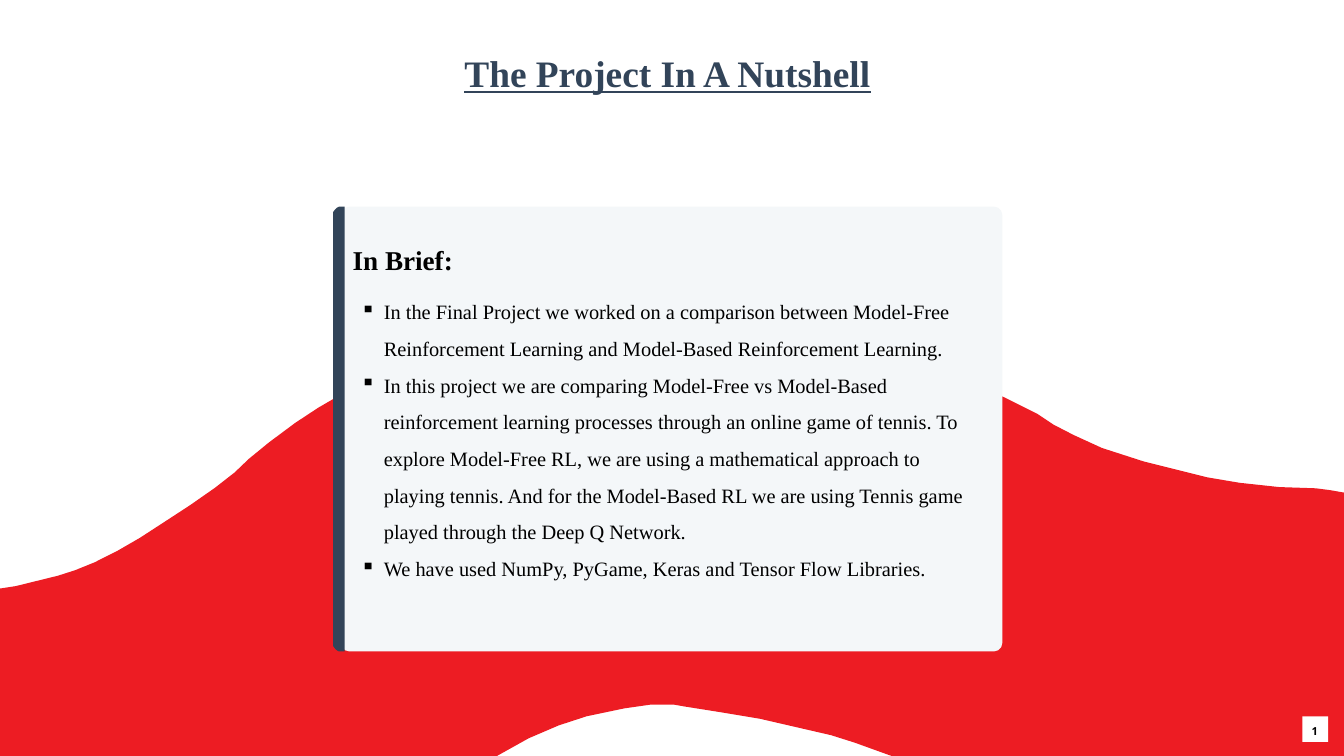
import pptx
import pptx.util
import pptx.dml.color
import pptx.enum.shapes
import pptx.enum.text
import lxml.etree
from collections import namedtuple
from dataclasses import dataclass

Inches = pptx.util.Inches
Box = namedtuple("Box", "left top width height")


@dataclass(frozen=True)
class Theme:
    """Colours, fonts and type sizes of the deck."""
    wave: str = "ED1C23"
    card: str = "F4F7F9"
    accent: str = "324459"
    paper: str = "FFFFFF"
    ink: str = "000000"
    serif: str = "Times New Roman"
    sans: str = "Noto Sans"
    title_size: int = 44
    heading_size: int = 32
    body_size: int = 24
    number_size: int = 13


THEME = Theme()

# Offsets from the top left corner of the wave's box
WAVE_CREST = [
    (0, 4.65), (0.26, 4.61), (0.95, 4.44), (1.23, 4.35), (1.55, 4.22),
    (1.91, 4.04), (2.29, 3.82), (2.66, 3.58), (3.12, 3.28), (3.52, 3.0),
    (3.84, 2.75), (4.07, 2.53), (4.4, 2.26), (4.83, 1.94), (5.21, 1.69),
    (5.83, 1.33), (6.48, 1.0), (6.97, 0.79), (7.52, 0.54), (8.1, 0.32),
    (8.79, 0.17), (9.5, 0.05), (10.25, 0), (11.08, 0), (11.86, 0.05),
    (12.56, 0.15), (13.28, 0.3), (14, 0.53), (14.69, 0.76), (15.25, 0.99),
    (15.87, 1.25), (16.53, 1.57), (16.97, 1.79), (17.24, 1.97),
    (17.57, 2.14), (18.03, 2.35), (18.71, 2.57), (19.75, 2.83),
    (20.28, 2.92), (20.93, 2.99), (21.53, 3.01), (21.76, 3.04), (21.99, 3.08),
]
WAVE_HOLLOW = [
    (14.59, 7.39), (13.98, 7.17), (13.6, 7.05), (12.43, 6.78), (11.83, 6.68),
    (11.2, 6.58), (11.03, 6.55), (10.64, 6.55), (10.22, 6.61), (9.6, 6.74),
    (9.14, 6.89), (8.65, 7.1), (8.13, 7.39),
]
BRIEF_POINTS = [
    "In the Final Project we worked on a comparison between Model-Free "
    "Reinforcement Learning and Model-Based Reinforcement Learning.",
    "In this project we are comparing Model-Free vs Model-Based reinforcement "
    "learning processes through an online game of tennis. To explore "
    "Model-Free RL, we are using a mathematical approach to playing tennis. "
    "And for the Model-Based RL we are using Tennis game played through the "
    "Deep Q Network.",
    "We have used NumPy, PyGame, Keras and Tensor Flow Libraries.",
]


def rgb(colour):
    """Turn a hex string into a colour."""
    return pptx.dml.color.RGBColor.from_string(colour)


def paint(shape, colour):
    """Give a shape a flat fill with no line or shadow."""
    shape.fill.solid()
    shape.fill.fore_color.rgb = rgb(colour)
    shape.line.fill.background()
    shape.shadow.inherit = False


def add_outline(slide, box, points, colour):
    """Draw a closed outline from offsets within a box."""
    corners = [(Inches(box.left + x), Inches(box.top + y)) for x, y in points]
    builder = slide.shapes.build_freeform(*corners[0], scale=1.0)
    builder.add_line_segments(corners[1:], close=True)
    paint(builder.convert_to_shape(), colour)


def add_preset(slide, kind, box, colour):
    """Add a flat preset shape."""
    shape = slide.shapes.add_shape(kind, *map(Inches, box))
    paint(shape, colour)
    return shape


def add_text_frame(slide, box, wrap):
    """Add a text box that grows with its text; return its frame."""
    frame = slide.shapes.add_textbox(*map(Inches, box)).text_frame
    frame.word_wrap = wrap
    frame.auto_size = pptx.enum.text.MSO_AUTO_SIZE.SHAPE_TO_FIT_TEXT
    if wrap:
        frame.margin_left = frame.margin_right = frame.margin_bottom = 0
        frame.margin_top = Inches(0.02)
    return frame


def add_run(paragraph, text, size, colour, font=THEME.serif, bold=False):
    """Append one formatted run."""
    run = paragraph.add_run()
    run.text = text
    run.font.name = font
    run.font.size = pptx.util.Pt(size)
    run.font.bold = bold
    run.font.color.rgb = rgb(colour)
    return run


def add_bullet(paragraph, indent, mark="\u25aa"):
    """Give a paragraph a hanging bullet."""
    properties = paragraph._p.get_or_add_pPr()
    properties.set("marL", str(Inches(indent)))
    properties.set("indent", str(-Inches(indent)))
    namespace = "{%s}" % properties.nsmap["a"]
    bullet_colour = lxml.etree.SubElement(properties, namespace + "buClr")
    lxml.etree.SubElement(bullet_colour, namespace + "srgbClr", val=THEME.ink)
    lxml.etree.SubElement(properties, namespace + "buChar", char=mark)


def add_wave(slide, box):
    """Draw the wave that fills the lower part of the slide."""
    base = [(box.width, box.height)] + WAVE_HOLLOW + [(0, box.height)]
    add_outline(slide, box, WAVE_CREST + base, THEME.wave)


def add_title(slide, box):
    """Write the underlined slide title."""
    frame = add_text_frame(slide, box, wrap=False)
    title = add_run(frame.paragraphs[0], "The Project In A Nutshell",
                    THEME.title_size, THEME.accent, bold=True)
    title.font.underline = True


def add_brief(slide, box):
    """Draw the card with its accent edge, heading and bullets."""
    overlap, edge, radius = 0.13, 0.19, 0.14
    card = add_preset(
        slide, pptx.enum.shapes.MSO_SHAPE.ROUNDED_RECTANGLE,
        Box(box.left + overlap, box.top, box.width - overlap, box.height),
        THEME.card)
    card.adjustments[0] = radius / box.height

    upper = [(edge, 0), (0.1, 0), (0.06, 0.02), (0.03, 0.05), (0, 0.09), (0, radius)]
    lower = [(x, box.height - y) for x, y in reversed(upper)]
    add_outline(slide, box, upper + lower, THEME.accent)

    bullets = add_text_frame(
        slide, Box(box.left + 0.45, box.top + 1.3, 10.18, 4.86), wrap=True)
    for index, point in enumerate(BRIEF_POINTS):
        paragraph = bullets.add_paragraph() if index else bullets.paragraphs[0]
        paragraph.line_spacing = 1.5
        add_bullet(paragraph, 0.38)
        add_run(paragraph, point, THEME.body_size, THEME.ink)

    heading = add_text_frame(
        slide, Box(box.left + 0.22, box.top + 0.55, 1.86, 0.64), wrap=False)
    add_run(heading.paragraphs[0], "In Brief:", THEME.heading_size, THEME.ink,
            bold=True)


def add_page_number(slide, box):
    """Place the page number on its square."""
    add_preset(slide, pptx.enum.shapes.MSO_SHAPE.RECTANGLE, box, THEME.paper)
    frame = add_text_frame(
        slide, Box(box.left + 0.15, box.top + 0.11, 0.25, 0.23), wrap=True)
    add_run(frame.paragraphs[0], "1", THEME.number_size, THEME.ink,
            font=THEME.sans, bold=True)


def build_nutshell_slide(deck):
    """Lay out the project summary slide."""
    slide = deck.slides.add_slide(deck.slide_layouts[6])
    add_wave(slide, Box(0, 4.98, 21.99, 7.39))
    add_brief(slide, Box(5.45, 3.38, 10.95, 7.28))
    add_title(slide, Box(7.5, 0.78, 6.99, 0.84))
    add_page_number(slide, Box(21.31, 11.72, 0.42, 0.42))


deck = pptx.Presentation()
deck.slide_width, deck.slide_height = Inches(21.99), Inches(12.37)
build_nutshell_slide(deck)
deck.save("out.pptx")
